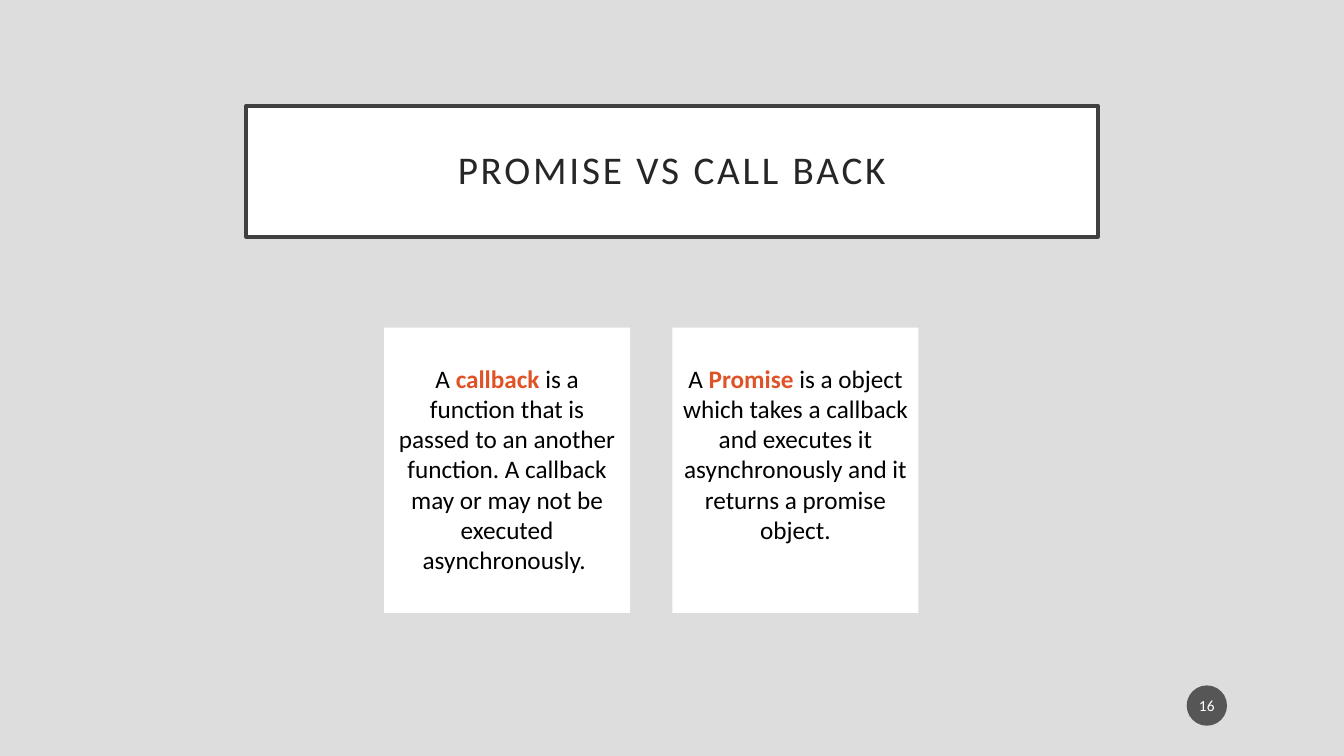
import pptx
import pptx.util
import pptx.dml.color
import pptx.enum.shapes
import pptx.enum.text
import pptx.oxml.ns
from lxml import etree

Inches = pptx.util.Inches
SHAPES = pptx.enum.shapes.MSO_SHAPE
ANCHOR = pptx.enum.text.MSO_ANCHOR

# Content
TITLE = "PROMISE VS CALL BACK"
PAGE_NUMBER = "16"
CARDS = [
    ("A ", "callback ", "is a function that is passed to an another function. "
     "A callback may or may not be executed asynchronously. "),
    ("A ", "Promise ", "is a object which takes a callback and executes it "
     "asynchronously and it returns a promise object."),
]
COLORS = {
    "background": "DDDDDD", "panel": "FFFFFF", "border": "404040",
    "title": "262626", "body": "000000", "accent": "DF5327",
    "badge": "1D1D1D", "badge_text": "FFFFFF",
}
FONT = "Calibri"

# Layout in inches
CARD_LEFT, CARD_TOP, CARD_WIDTH, CARD_HEIGHT = 3.81, 3.25, 2.44, 2.83
CARD_GAP = 0.42


def color(name):
    return pptx.dml.color.RGBColor.from_string(COLORS[name])


def add_panel(page, kind, area, fill):
    box = page.shapes.add_shape(kind, *[Inches(value) for value in area])
    box.shadow.inherit = False
    box.fill.solid()
    box.fill.fore_color.rgb = color(fill)
    box.line.fill.background()
    return box


def write_text(box, parts, size, insets, anchor=ANCHOR.MIDDLE,
               line_spacing=None, letter_spacing=None):
    """Write (text, color name, bold) parts as one centred paragraph."""
    frame = box.text_frame
    frame.word_wrap = True
    frame.vertical_anchor = anchor
    (frame.margin_left, frame.margin_top,
     frame.margin_right, frame.margin_bottom) = [Inches(value) for value in insets]
    para = frame.paragraphs[0]
    para.alignment = pptx.enum.text.PP_ALIGN.CENTER
    para.line_spacing = line_spacing
    for text, color_name, bold in parts:
        span = para.add_run()
        span.text = text
        span.font.name = FONT
        span.font.size = pptx.util.Pt(size)
        span.font.bold = bold
        span.font.color.rgb = color(color_name)
        if letter_spacing:
            span.font._element.set("spc", str(letter_spacing * 100))


def main():
    deck = pptx.Presentation()
    deck.slide_width, deck.slide_height = Inches(13.33), Inches(7.5)
    page = deck.slides.add_slide(deck.slide_layouts[6])
    page.background.fill.solid()
    page.background.fill.fore_color.rgb = color("background")

    # Page number badge, 70 % opaque
    badge = add_panel(page, SHAPES.OVAL, (11.77, 6.8, 0.4, 0.4), "badge")
    tint = badge._element.spPr.find(".//" + pptx.oxml.ns.qn("a:srgbClr"))
    etree.SubElement(tint, pptx.oxml.ns.qn("a:alpha"), val="70000")
    write_text(badge, [(PAGE_NUMBER, "badge_text", False)], 11,
               (0.02, 0.05, 0.02, 0.05))

    # Title
    title = add_panel(page, SHAPES.RECTANGLE, (2.44, 1.05, 8.45, 1.3), "panel")
    title.line.color.rgb = color("border")
    title.line.width = pptx.util.Pt(2.5)
    write_text(title, [(TITLE, "title", False)], 28, (0.2, 0.2, 0.2, 0.2),
               line_spacing=0.9, letter_spacing=2)

    # Definition cards
    for index, (opening, term, rest) in enumerate(CARDS):
        left = CARD_LEFT + index * (CARD_WIDTH + CARD_GAP)
        card = add_panel(page, SHAPES.RECTANGLE,
                         (left, CARD_TOP, CARD_WIDTH, CARD_HEIGHT), "panel")
        parts = [(opening, "body", False), (term, "accent", True),
                 (rest, "body", False)]
        write_text(card, parts, 18, (0.1, 0.35, 0.1, 0.05), anchor=ANCHOR.TOP)

    deck.save("out.pptx")


if __name__ == "__main__":
    main()
